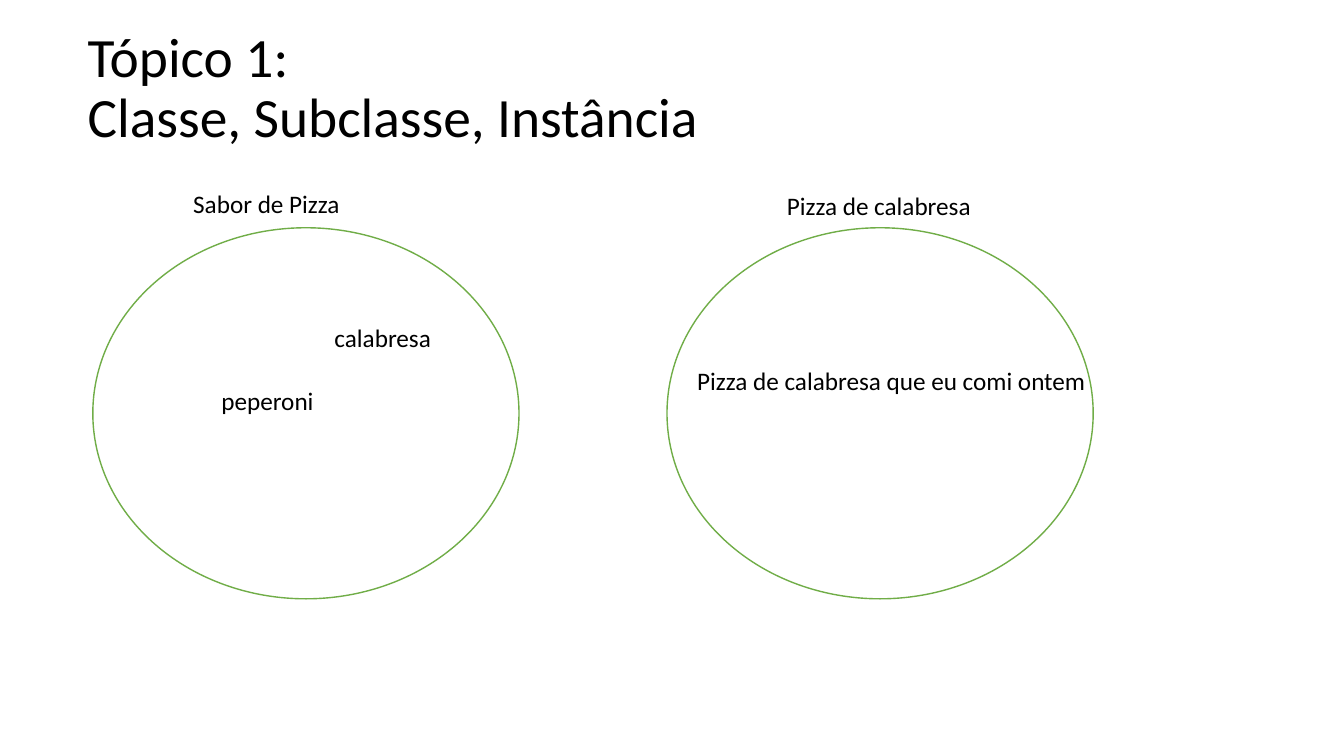
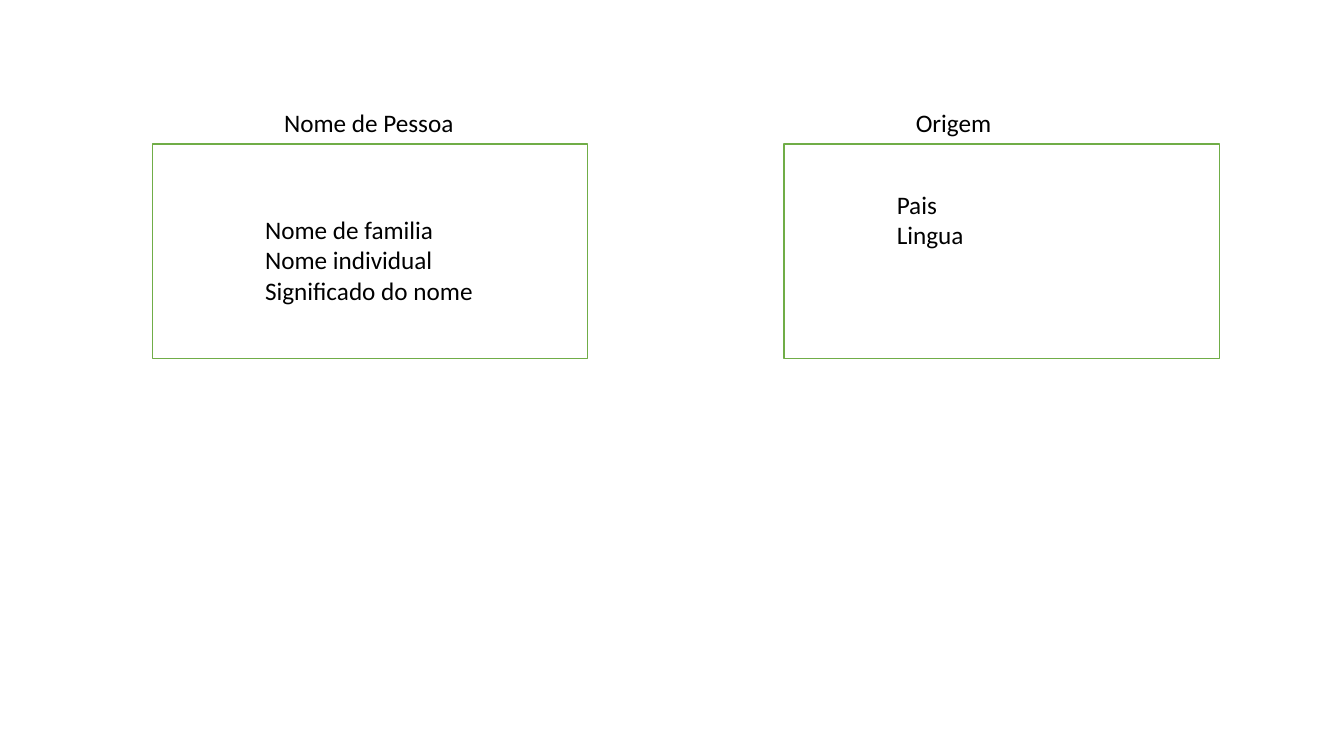
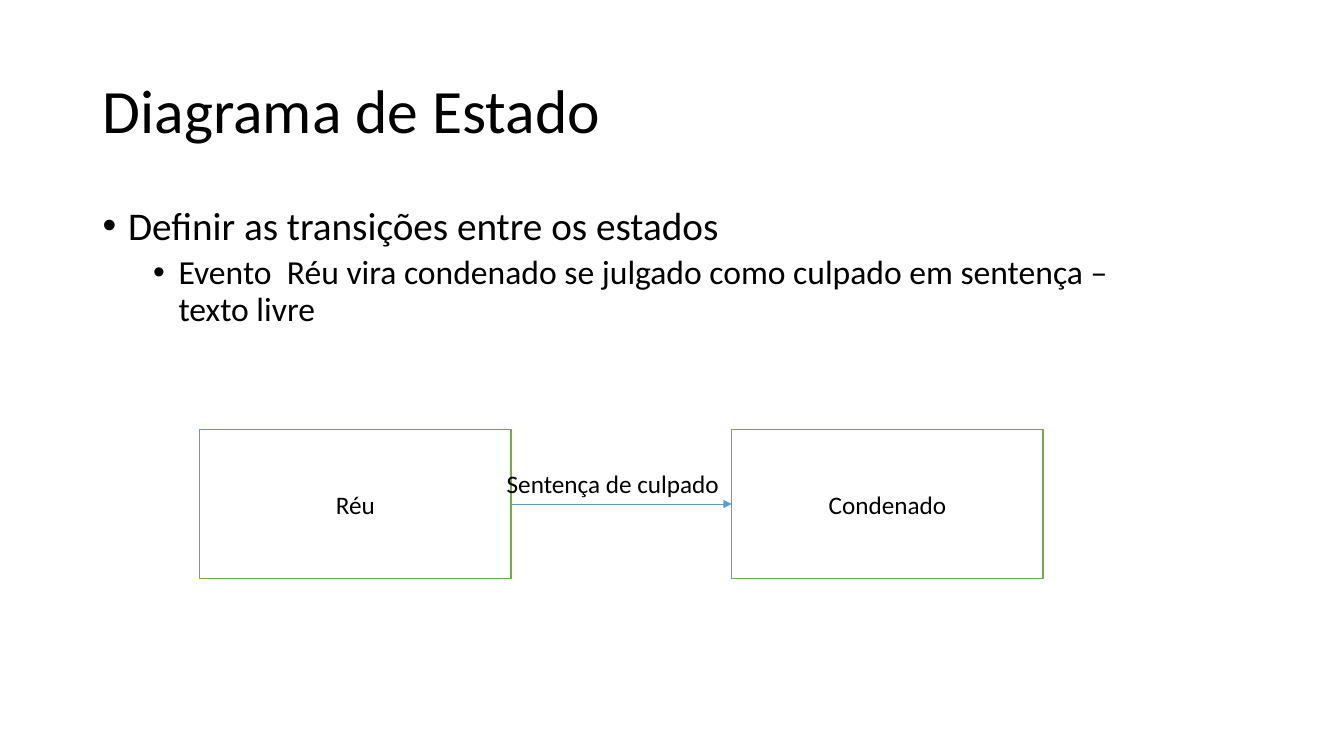
import pptx
import pptx.util
import pptx.dml.color
import pptx.enum.shapes
import pptx.enum.text
import pptx.oxml.ns
import lxml.etree

Cm = pptx.util.Cm
Pt = pptx.util.Pt
Shapes = pptx.enum.shapes.MSO_SHAPE
Align = pptx.enum.text.PP_ALIGN
Anchor = pptx.enum.text.MSO_ANCHOR
AutoSize = pptx.enum.text.MSO_AUTO_SIZE

COLORS = {"text": "000000", "paper": "FFFFFF", "outline": "70AD47", "arrow": "5B9BD5"}
FONT = "Calibri"


def color(name):
    return pptx.dml.color.RGBColor.from_string(COLORS[name])


def add_xml(parent, tag, **attributes):
    return lxml.etree.SubElement(parent, pptx.oxml.ns.qn(tag), attributes)


def write_text(paragraph, text, size=18, align=Align.LEFT, spacing=1.0, before=0):
    paragraph.alignment = align
    paragraph.line_spacing = spacing
    paragraph.space_before = Pt(before)
    run = paragraph.add_run()
    run.text = text
    run.font.name = FONT
    run.font.size = Pt(size)
    run.font.color.rgb = color("text")


class Deck:
    def __init__(self):
        self.presentation = pptx.Presentation()
        self.presentation.slide_width = Cm(33.87)
        self.presentation.slide_height = Cm(19.05)
        self.slide = None

    def new_slide(self):
        self.slide = self.presentation.slides.add_slide(self.presentation.slide_layouts[6])

    def text_box(self, left, top, width, height, lines, wrap=True, anchor=Anchor.TOP, **text_format):
        box = self.slide.shapes.add_textbox(Cm(left), Cm(top), Cm(width), Cm(height))
        frame = box.text_frame
        frame.word_wrap = wrap
        frame.auto_size = AutoSize.NONE if wrap else AutoSize.SHAPE_TO_FIT_TEXT
        frame.vertical_anchor = anchor
        for number, line in enumerate(lines):
            paragraph = frame.add_paragraph() if number else frame.paragraphs[0]
            write_text(paragraph, line, **text_format)
        return frame

    def title(self, left, top, width, lines, size):
        self.text_box(left, top, width, 3.68, lines, anchor=Anchor.MIDDLE, size=size, spacing=0.9)

    def label(self, left, top, width, *lines, height=1.02):
        self.text_box(left, top, width, height, lines, wrap=False)

    def bullets(self, left, top, width, height, items):
        frame = self.text_box(left, top, width, height, [])
        for number, (level, text) in enumerate(items):
            paragraph = frame.add_paragraph() if number else frame.paragraphs[0]
            paragraph.level = level
            write_text(paragraph, text, size=28 - 4 * level, spacing=0.9, before=10 - 5 * level)
            properties = paragraph._p.get_or_add_pPr()
            properties.set("marL", str(Cm(0.64 + 1.27 * level)))
            properties.set("indent", str(Cm(-0.64)))
            add_xml(properties, "a:buFont", typeface="Arial")
            add_xml(properties, "a:buChar", char="•")

    def outline(self, kind, left, top, width, height, text=None):
        shape = self.slide.shapes.add_shape(kind, Cm(left), Cm(top), Cm(width), Cm(height))
        shape.shadow.inherit = False
        shape.fill.solid()
        shape.fill.fore_color.rgb = color("paper")
        shape.line.color.rgb = color("outline")
        shape.line.width = Pt(1)
        if text:
            shape.text_frame.vertical_anchor = Anchor.MIDDLE
            write_text(shape.text_frame.paragraphs[0], text, align=Align.CENTER)

    def arrow(self, start, end, height):
        connector = self.slide.shapes.add_connector(
            pptx.enum.shapes.MSO_CONNECTOR.STRAIGHT, Cm(start), Cm(height), Cm(end), Cm(height))
        connector.line.color.rgb = color("arrow")
        connector.line.width = Pt(0.5)
        add_xml(connector.line._get_or_add_ln(), "a:tailEnd", type="triangle")
        add_xml(connector._element.spPr, "a:effectLst")


def build_classes(deck):
    deck.new_slide()
    deck.title(1.96, 0.41, 31.55, ["Tópico 1:", "Classe, Subclasse, Instância"], 39.6)
    for left in (2.34, 16.81):
        deck.outline(Shapes.OVAL, left, 5.74, 10.74, 9.35)
    deck.label(4.62, 4.62, 4.24, "Sabor de Pizza")
    deck.label(8.18, 8, 2.97, "calabresa")
    deck.label(5.33, 9.58, 2.87, "peperoni")
    deck.label(19.58, 4.67, 5.21, "Pizza de calabresa")
    deck.label(17.32, 9.07, 10.41, "Pizza de calabresa que eu comi ontem")


def build_names(deck):
    deck.new_slide()
    for left in (3.84, 19.76):
        deck.outline(Shapes.RECTANGLE, left, 3.63, 10.97, 5.41)
    deck.label(6.91, 2.59, 4.83, "Nome de Pessoa")
    deck.label(6.43, 5.28, 5.82, "Nome de familia", "Nome individual", "Significado do nome", height=3.33)
    deck.label(22.83, 2.59, 2.44, "Origem")
    deck.label(22.35, 4.65, 2.36, "Pais", "Lingua", height=2.57)


def build_states(deck):
    deck.new_slide()
    deck.title(2.34, 1.02, 29.21, ["Diagrama de Estado"], 44)
    deck.bullets(2.34, 5.08, 26.75, 7.62, [
        (0, "Definir as transições entre os estados"),
        (1, "Evento  Réu vira condenado se julgado como culpado em sentença – texto livre"),
    ])
    for left, state in ((5.03, "Réu"), (18.44, "Condenado")):
        deck.outline(Shapes.RECTANGLE, left, 10.82, 7.85, 3.76, state)
    deck.arrow(12.88, 18.44, 12.7)
    deck.label(12.52, 11.68, 5.94, "Sentença de culpado")


deck = Deck()
build_classes(deck)
build_names(deck)
build_states(deck)
deck.presentation.save("out.pptx")
